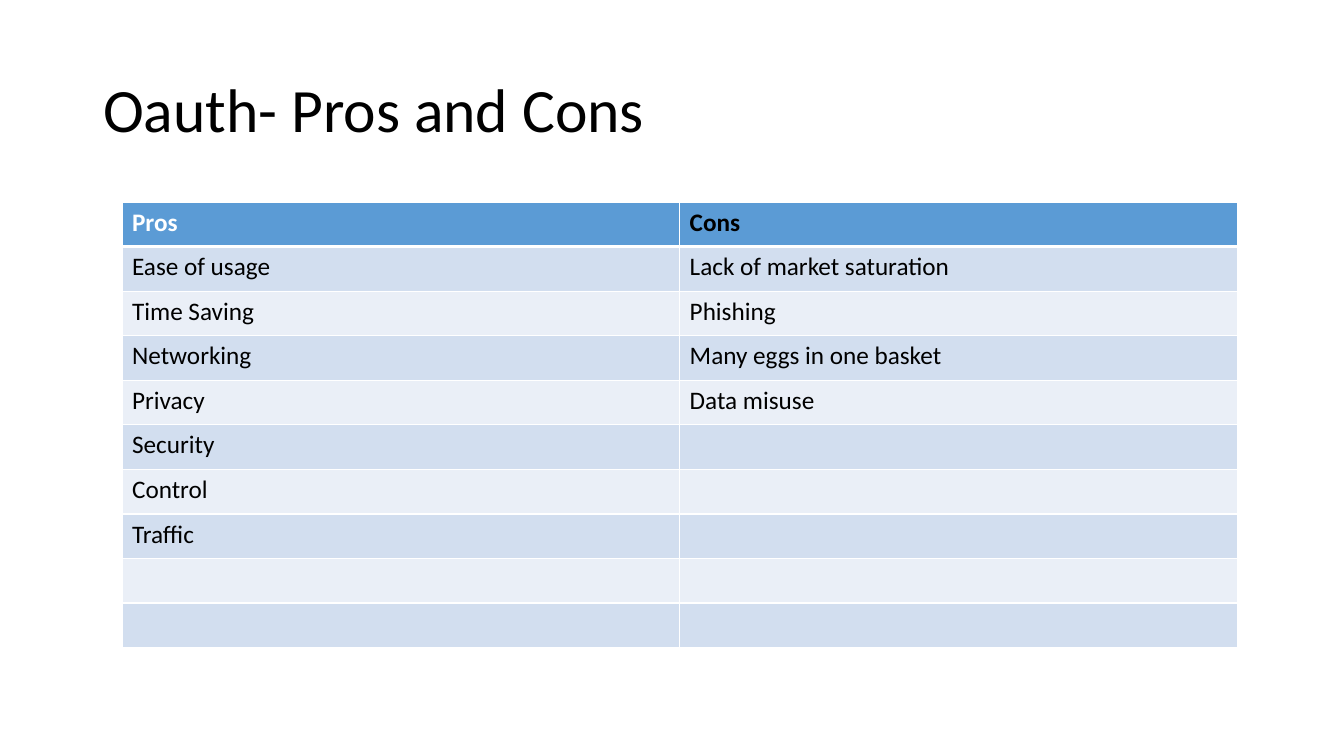
from itertools import zip_longest

from lxml import etree
from pptx import Presentation
from pptx import util as u
from pptx.dml.color import RGBColor
from pptx.enum import text
from pptx.oxml.ns import qn

TITLE = "Oauth- Pros and Cons"
PROS = ["Pros", "Ease of usage", "Time Saving", "Networking", "Privacy",
        "Security", "Control", "Traffic", "", ""]
CONS = ["Cons", "Lack of market saturation", "Phishing",
        "Many eggs in one basket", "Data misuse"]
HEADER_FILL = "5B9BD5"
BAND_FILLS = ["EAEFF7", "D2DEEF"]
HEADER_INKS = ["FFFFFF", "000000"]
BLACK, WHITE = "000000", "FFFFFF"
FONT = "Calibri"
TITLE_BOX = (93, 40, 1159, 146)
TABLE_BOX = (122, 202, 1115, 446)
PX = 914400 / 100.8


def px(*lengths):
    return [u.Emu(round(n * PX)) for n in lengths]


def rgb(hex_code):
    return RGBColor.from_string(hex_code)


def add_run(p, words, size, color, bold=False):
    r = p.add_run()
    r.text = words
    r.font.name, r.font.size, r.font.bold = FONT, u.Pt(size), bold
    r.font.color.rgb = rgb(color)


def add_borders(cell, bottom_pt):
    """Draw white cell borders; call before filling, as the XML order requires."""
    tc_pr = cell._tc.get_or_add_tcPr()
    for side, width in zip("LRTB", (1, 1, 1, bottom_pt)):
        ln = etree.SubElement(tc_pr, qn(f"a:ln{side}"), w=str(u.Pt(width)))
        fill = etree.SubElement(ln, qn("a:solidFill"))
        etree.SubElement(fill, qn("a:srgbClr"), val=WHITE)


def add_title(s):
    sp = s.shapes.title
    sp.left, sp.top, sp.width, sp.height = px(*TITLE_BOX)
    tf = sp.text_frame
    tf.word_wrap = True
    tf.vertical_anchor = text.MSO_ANCHOR.MIDDLE
    p = tf.paragraphs[0]
    p.alignment = text.PP_ALIGN.LEFT
    p.line_spacing = 0.9
    add_run(p, TITLE, 44, BLACK)


def add_pros_cons(s):
    rows = list(zip_longest(PROS, CONS, fillvalue=""))
    table = s.shapes.add_table(len(rows), 2, *px(*TABLE_BOX)).table
    for i, row in enumerate(rows):
        header = i == 0
        for j, words in enumerate(row):
            cell = table.cell(i, j)
            add_borders(cell, 3 if header else 1)
            cell.fill.solid()
            cell.fill.fore_color.rgb = rgb(HEADER_FILL if header else BAND_FILLS[i % 2])
            if words:
                add_run(cell.text_frame.paragraphs[0], words, 18,
                        HEADER_INKS[j] if header else BLACK, header)


def main():
    prs = Presentation()
    prs.slide_width, prs.slide_height = u.Inches(13.33), u.Inches(7.5)
    s = prs.slides.add_slide(prs.slide_layouts[5])
    add_title(s)
    add_pros_cons(s)
    prs.save("out.pptx")


if __name__ == "__main__":
    main()
